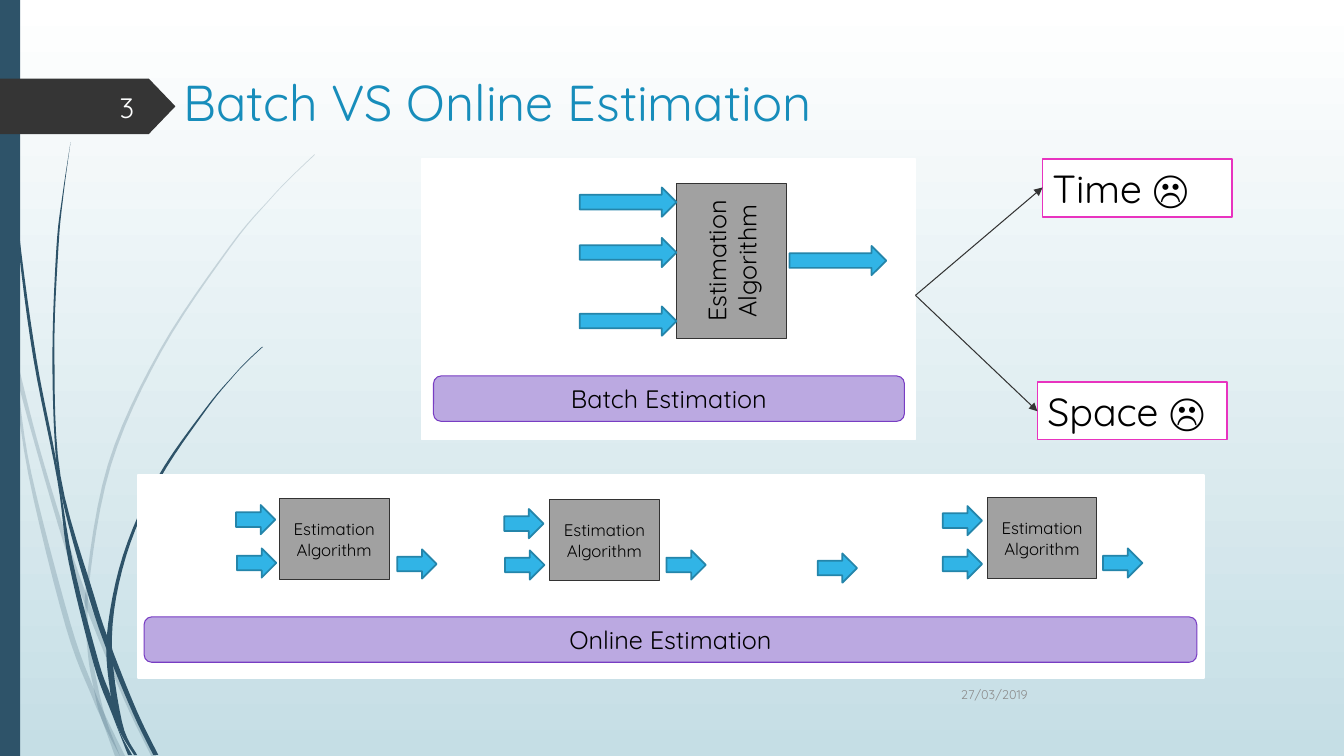
"""Build the slide comparing batch and online estimation."""
from pptx import Presentation
from pptx.dml.color import RGBColor
from pptx.enum.shapes import MSO_CONNECTOR, MSO_SHAPE as Shape
from pptx.enum.text import MSO_ANCHOR as Anchor, PP_ALIGN as Align
from pptx.oxml.ns import qn
from pptx.util import Pt
from lxml.etree import SubElement

PX = 9144
STEPS = 6
FONT = "Quicksand"
NAVY, WHITE, BLACK, GREY = "2E5369", "FFFFFF", "000000", "333333"
colour = RGBColor.from_string

deck = Presentation()
deck.slide_width, deck.slide_height = 1333 * PX, 750 * PX
page = deck.slides.add_slide(deck.slide_layouts[6])
backdrop = page.background.fill
backdrop.gradient()
backdrop.gradient_angle = 270
for stop, shade in zip(backdrop.gradient_stops, (WHITE, "C5DEE5")):
    stop.color.rgb = colour(shade)


def add_block(kind, left, top, width, height, fill, line=None, weight=1.25):
    block = page.shapes.add_shape(kind, left * PX, top * PX, width * PX, height * PX)
    block.shadow.inherit = False
    block.fill.solid()
    block.fill.fore_color.rgb = colour(fill)
    if line:
        block.line.color.rgb = colour(line)
        block.line.width = Pt(weight)
    else:
        block.line.fill.background()
    return block


def write(box, text, size, ink=BLACK, align=Align.CENTER, anchor=Anchor.TOP):
    frame = box.text_frame
    frame.word_wrap = True
    frame.vertical_anchor = anchor
    para = frame.paragraphs[0]
    para.text = text
    para.alignment = align
    para.font.name = FONT
    para.font.size = Pt(size)
    para.font.color.rgb = colour(ink)


STEMS = [
    (20, [(0, 299), (10, 344), (28, 470), (65, 621), (92, 693), (101, 714), (114, 750)],
     [(0, 282), (9, 322), (17, 376), (31, 469), (70, 619), (93, 683), (105, 711), (124, 750)]),
    (20, [(14, 345), (17, 376), (58, 522), (84, 599), (123, 694), (150, 750)],
     [(14, 345), (36, 433), (62, 520), (88, 596), (127, 692), (155, 750)]),
    (20, [(312, 153), (289, 175), (268, 197), (228, 244), (158, 348), (107, 461), (85, 584),
          (87, 646), (93, 683), (101, 714), (119, 750)],
     [(312, 154), (290, 175), (268, 198), (229, 245), (160, 349), (110, 462), (88, 584),
      (91, 646), (103, 706), (119, 750)]),
    (100, [(3, 0), (4, 48), (7, 110), (17, 233), (33, 355), (57, 477), (68, 557), (93, 659),
           (111, 708), (127, 749)],
     [(4, 0), (5, 48), (8, 109), (19, 232), (36, 355), (55, 453), (72, 556), (98, 657),
      (110, 691), (117, 722), (131, 749)]),
    (100, [(70, 141), (62, 193), (56, 245), (52, 349), (55, 449), (64, 505), (88, 592),
           (106, 645), (132, 708), (152, 749)],
     [(70, 141), (63, 193), (58, 245), (54, 349), (60, 472), (93, 590), (110, 641),
      (136, 706), (157, 749)]),
    (100, [(260, 344), (245, 358), (231, 373), (204, 405), (156, 474), (122, 551), (106, 631),
           (110, 691), (117, 722), (133, 749)],
     [(261, 344), (245, 359), (231, 374), (205, 406), (158, 476), (125, 552), (111, 633),
      (121, 716), (136, 749)]),
]
for opacity, left_edge, right_edge in STEMS:
    outline = []
    for edge in (left_edge, right_edge[::-1]):
        knots = [edge[0], *edge, edge[-1]]
        for a, b, c, d in zip(knots, knots[1:], knots[2:], knots[3:]):
            for t in (step / STEPS for step in range(STEPS)):
                outline.append([
                    PX * (2 * q + (r - p) * t + (2 * p - 5 * q + 4 * r - s) * t ** 2
                          + (3 * q - p - 3 * r + s) * t ** 3) / 2
                    for p, q, r, s in zip(a, b, c, d)])
        outline.append([PX * value for value in edge[-1]])
    builder = page.shapes.build_freeform(*outline[0])
    builder.add_line_segments(outline[1:])
    stem = builder.convert_to_shape()
    stem.shadow.inherit = False
    stem.line.fill.background()
    stem.fill.solid()
    stem.fill.fore_color.rgb = colour(NAVY)
    if opacity < 100:
        tint = stem.element.spPr.find(qn("a:solidFill"))[0]
        SubElement(tint, qn("a:alpha"), val=str(opacity * 1000))

add_block(Shape.RECTANGLE, 0, 0, 20, 750, NAVY)
pennant = add_block(Shape.PENTAGON, 0, 78, 174, 55, "353535")
pennant.adjustments[0] = 0.48

CAPTIONS = [
    (172, 66, 975, 140, "Batch VS Online Estimation", 36, "178DBB", Align.LEFT, Anchor.TOP),
    (904, 668, 125, 41, "27/03/2019", 9, "8C8C8C", Align.RIGHT, Anchor.MIDDLE),
    (58, 86, 85, 40, "3", 20, "FEFFFF", Align.RIGHT, Anchor.MIDDLE),
]
for left, top, width, height, *wording in CAPTIONS:
    caption = page.shapes.add_textbox(left * PX, top * PX, width * PX, height * PX)
    write(caption, *wording)

PANELS = [
    ((418, 158, 490, 278), (430, 373, 467, 45), "Batch Estimation"),
    ((137, 471, 1057, 202), (143, 612, 1044, 45), "Online Estimation"),
]
for panel, banner, name in PANELS:
    add_block(Shape.RECTANGLE, *panel, WHITE, WHITE)
    label = add_block(Shape.ROUNDED_RECTANGLE, *banner, "BBA9E1", "783DC3", 0.75)
    write(label, name, 18)

ALGORITHMS = [(671, 182, 154, 18), (277, 495, 80, 12), (545, 496, 80, 12), (979, 494, 80, 12)]
for left, top, height, size in ALGORITHMS:
    algorithm = add_block(Shape.RECTANGLE, left, top, 109, height, "A1A1A1", GREY, 0.75)
    write(algorithm, "Estimation Algorithm", size, anchor=Anchor.MIDDLE)
    if height > 80:
        algorithm.element.txBody.bodyPr.set("vert", "vert270")

ARROWS = {
    96: [(575, 186), (575, 236), (575, 304), (783, 244)],
    39: [(234, 501), (235, 544), (394, 545), (501, 546), (500, 505), (661, 546),
         (935, 545), (935, 502), (1094, 544), (811, 549)],
}
for length, corners in ARROWS.items():
    for left, top in corners:
        add_block(Shape.RIGHT_ARROW, left, top, length, 29, "31B4E6", "2485AA")

for left, top, drawback, tip in [(1034, 158, "Time ☹", 186), (1029, 379, "Space ☹", 408)]:
    box = add_block(Shape.RECTANGLE, left, top, 188, 57, WHITE, "E833BF")
    write(box, drawback, 28, align=Align.LEFT)
    pointer = page.shapes.add_connector(
        MSO_CONNECTOR.STRAIGHT, 908 * PX, 293 * PX, left * PX, tip * PX)
    pointer.line.color.rgb = colour(GREY)
    pointer.line.width = Pt(0.75)
    SubElement(pointer.line._get_or_add_ln(), qn("a:tailEnd"), type="triangle")
    SubElement(pointer.element.spPr, qn("a:effectLst"))

deck.save("out.pptx")
